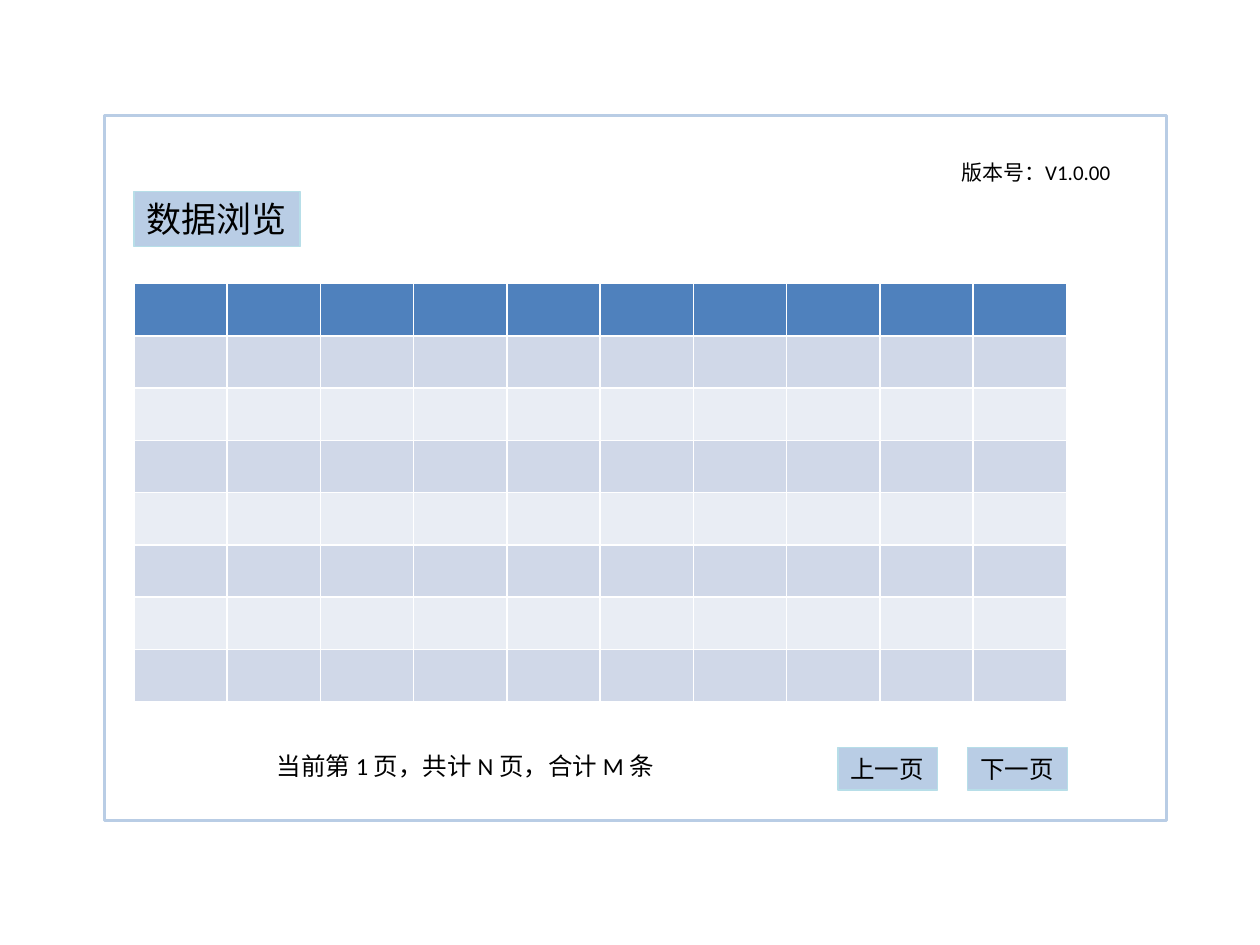
from pptx import Presentation
from pptx.dml.color import RGBColor
from pptx.enum import shapes, text
from pptx.util import Pt

BLACK = RGBColor(0x00, 0x00, 0x00)
PALE_BLUE = RGBColor(0xB9, 0xCD, 0xE5)
AQUA = RGBColor(0xB7, 0xDE, 0xE8)
HEADER_BLUE = RGBColor(0x4F, 0x81, 0xBD)
BANDS = [RGBColor(0xE9, 0xED, 0xF4), RGBColor(0xD0, 0xD8, 0xE8)]
ROWS, COLUMNS = 8, 10


def write(shape, words, size, wrap):
    frame = shape.text_frame
    frame.word_wrap = wrap
    frame.vertical_anchor = text.MSO_ANCHOR.TOP
    paragraph = frame.paragraphs[0]
    paragraph.text = words
    paragraph.alignment = text.PP_ALIGN.LEFT
    paragraph.font.name = "Calibri"
    paragraph.font.size = Pt(size)
    paragraph.font.color.rgb = BLACK


def rectangle(left, top, width, height, line, weight):
    shape = slide.shapes.add_shape(
        shapes.MSO_SHAPE.RECTANGLE, Pt(left), Pt(top), Pt(width), Pt(height))
    shape.shadow.inherit = False
    shape.line.color.rgb = line
    shape.line.width = Pt(weight)
    return shape


deck = Presentation()
deck.slide_width, deck.slide_height = Pt(720), Pt(540)
slide = deck.slides.add_slide(deck.slide_layouts[6])

window = rectangle(59.6, 66, 607, 402.8, PALE_BLUE, 2)
window.fill.background()

for words, size, left, top, width, height in [
    ("数据浏览", 20, 76.5, 109.5, 95, 31.5),
    ("上一页", 14, 478.8, 427.2, 57, 24.2),
    ("下一页", 14, 553, 427.2, 57, 24.2),
]:
    button = rectangle(left, top, width, height, AQUA, 0.75)
    button.fill.solid()
    button.fill.fore_color.rgb = PALE_BLUE
    write(button, words, size, False)

for words, size, left, top, width, height in [
    ("版本号：V1.0.00", 12, 542.2, 87.8, 100.8, 21.8),
    ("当前第 1 页，共计 N 页，合计 M 条", 14, 151, 425.5, 232, 24.2),
]:
    label = slide.shapes.add_textbox(Pt(left), Pt(top), Pt(width), Pt(height))
    write(label, words, size, True)

records = slide.shapes.add_table(
    ROWS, COLUMNS, Pt(76.5), Pt(162), Pt(533), Pt(239)).table
for column in records.columns:
    column.width = Pt(53.3)
for number, row in enumerate(records.rows):
    row.height = Pt(29.88)
    for cell in row.cells:
        cell.fill.solid()
        cell.fill.fore_color.rgb = BANDS[number % 2] if number else HEADER_BLUE

deck.save("out.pptx")
